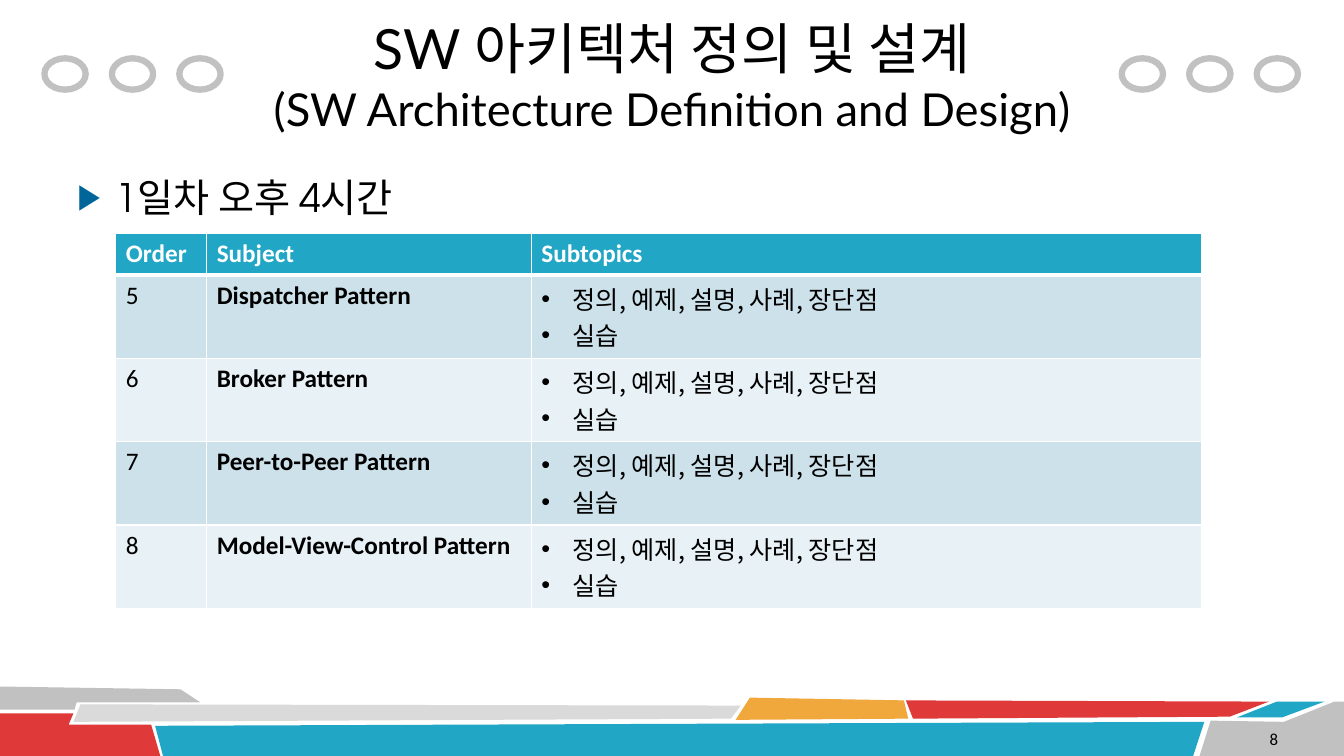
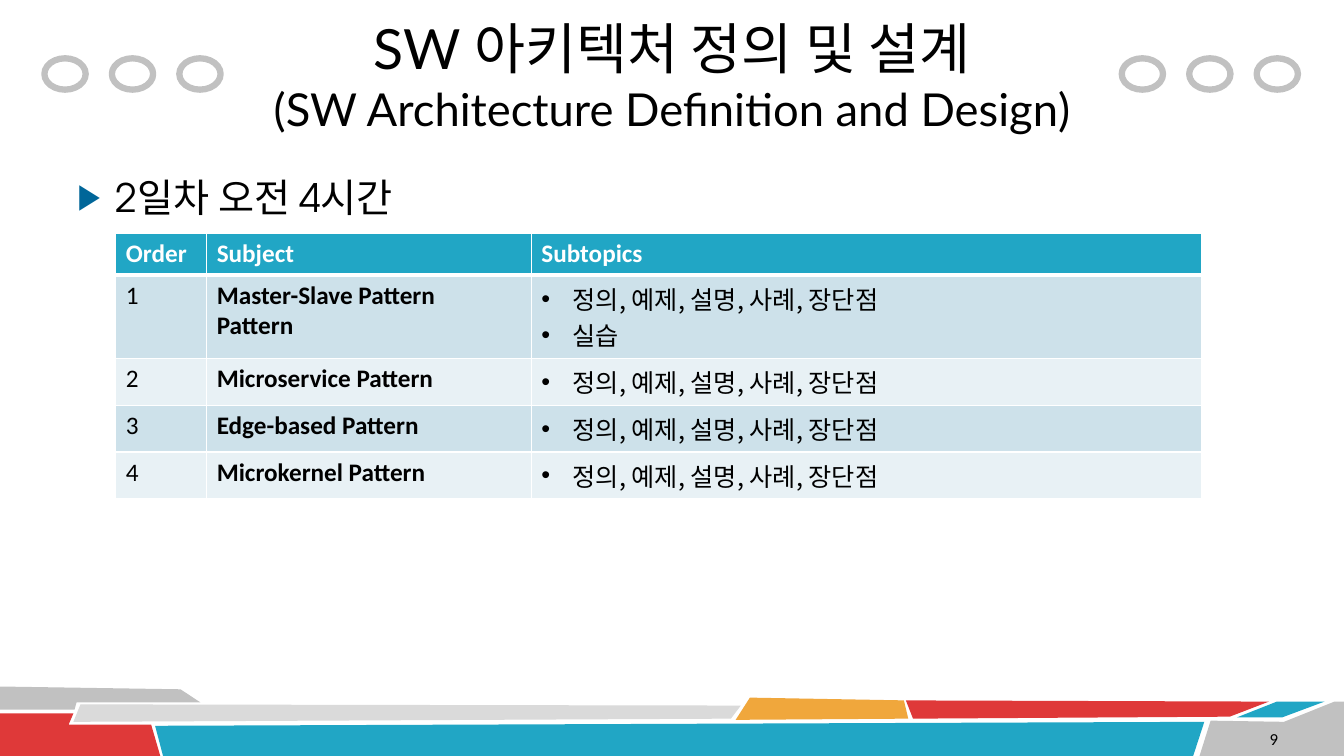
"""Build two course-schedule slides on software architecture patterns."""
from lxml.etree import SubElement
from pptx import Presentation
from pptx.dml.color import RGBColor
from pptx.enum.shapes import MSO_SHAPE as SHAPE
from pptx.enum.text import MSO_ANCHOR as ANCHOR, PP_ALIGN as ALIGN
from pptx.oxml import parse_xml
from pptx.oxml.ns import nsdecls, qn
from pptx.util import Cm, Pt

COLORS = {
    "black": "000000", "white": "FFFFFF", "grey": "C1C1C1", "pale": "DADADA",
    "red": "DF3939", "teal": "21A6C5", "gold": "F0A73C", "marker": "006699",
    "band_dark": "CDE1EA", "band_light": "E8F1F5",
}
KOREAN = "Noto Sans CJK KR"
TITLE = "SW 아키텍처 정의 및 설계"
SUBTITLE = "(SW Architecture Definition and Design)"
HEADER = ("Order", "Subject", "Subtopics")
TOPICS = "정의, 예제, 설명, 사례, 장단점"
PRACTICE = "실습"

SLIDES = [
    {"page": 8, "session": "1일차 오후 4시간", "rows": [
        ("5", "Dispatcher Pattern", [TOPICS, PRACTICE]),
        ("6", "Broker Pattern", [TOPICS, PRACTICE]),
        ("7", "Peer-to-Peer Pattern", [TOPICS, PRACTICE]),
        ("8", "Model-View-Control Pattern", [TOPICS, PRACTICE]),
    ]},
    {"page": 9, "session": "2일차 오전 4시간", "rows": [
        ("1", "Master-Slave Pattern\nPattern", [TOPICS, PRACTICE]),
        ("2", "Microservice Pattern", [TOPICS]),
        ("3", "Edge-based Pattern", [TOPICS]),
        ("4", "Microkernel Pattern", [TOPICS]),
    ]},
]

FOOTER_BANDS = [
    ("grey", [(0, 17.3), (4.55, 17.37), (5.05, 17.7), (1.93, 17.7),
              (1.88, 17.88), (0, 17.88)]),
    ("red", [(0, 17.98), (1.85, 17.98), (1.73, 18.26), (3.81, 18.26),
             (4.04, 19.05), (0, 19.05)]),
    ("pale", [(2.03, 17.75), (18.67, 17.78), (18.42, 18.11), (1.85, 18.19)]),
    ("teal", [(3.91, 18.29), (30.35, 18.19), (30.07, 19.05), (4.11, 19.05)]),
    ("gold", [(18.9, 17.58), (22.78, 17.65), (22.89, 18.11), (18.54, 18.14)]),
    ("red", [(22.83, 17.65), (31.98, 17.68), (30.99, 18.06), (23.01, 18.11)]),
    ("teal", [(32.18, 17.68), (33.38, 17.68), (32.31, 18.08), (31.17, 18.08)]),
    ("grey", [(30.51, 18.16), (32.36, 18.19), (33.63, 17.68), (33.87, 17.68),
              (33.87, 19.05), (30.23, 19.05)]),
]
RING_STARTS = (1.12, 28.27)
RING_STEP = 1.7
COLUMN_WIDTHS = (2.29, 8.18, 16.89)
HEADER_HEIGHT = 1.04
TOPIC_HEIGHTS = {1: 1.18, 2: 2.1}


def rgb(name):
    return RGBColor.from_string(COLORS[name])


def write(p, text, font="Calibri", size=18, color="black", bold=False, align=ALIGN.LEFT):
    p.alignment = align
    for i, line in enumerate(text.split("\n")):
        if i:
            p.add_line_break()
        if not line:
            continue
        r = p.add_run()
        r.text = line
        r.font.size, r.font.bold = Pt(size), bold
        r.font.color.rgb = rgb(color)
        r.font.name = font
        SubElement(r._r.get_or_add_rPr(), qn("a:ea"), typeface=KOREAN)


def add_bullet(p, char, indent, color=None, percent=100):
    pPr = p._p.get_or_add_pPr()
    pPr.set("marL", str(Cm(indent)))
    pPr.set("indent", str(-Cm(indent)))
    if color:
        clr = SubElement(pPr, qn("a:buClr"))
        SubElement(clr, qn("a:srgbClr"), val=COLORS[color])
    SubElement(pPr, qn("a:buSzPct"), val=str(percent * 1000))
    SubElement(pPr, qn("a:buFont"), typeface="Arial")
    SubElement(pPr, qn("a:buChar"), char=char)


def add_text_frame(s, x, y, w, h, anchor=ANCHOR.TOP):
    tf = s.shapes.add_textbox(Cm(x), Cm(y), Cm(w), Cm(h)).text_frame
    tf.word_wrap = True
    tf.vertical_anchor = anchor
    return tf


def add_decoration(s):
    for color, points in FOOTER_BANDS:
        start, *rest = [(Cm(x), Cm(y)) for x, y in points]
        builder = s.shapes.build_freeform(*start)
        builder.add_line_segments(rest, close=True)
        band = builder.convert_to_shape()
        band.shadow.inherit = False
        band.fill.solid()
        band.fill.fore_color.rgb = rgb(color)
        band.line.fill.background()
    for start in RING_STARTS:
        for i in range(3):
            ring = s.shapes.add_shape(SHAPE.OVAL, Cm(start + i * RING_STEP), Cm(1.47),
                                      Cm(1.04), Cm(0.79))
            ring.shadow.inherit = False
            ring.fill.background()
            ring.line.color.rgb = rgb("grey")
            ring.line.width = Pt(4.5)


def style_cell(cell, fill, top=1, bottom=1):
    cell.fill.solid()
    cell.fill.fore_color.rgb = rgb(fill)
    tcPr = cell._tc.get_or_add_tcPr()
    for i, (side, width) in enumerate((("L", 1), ("R", 1), ("T", top), ("B", bottom))):
        tcPr.insert(i, parse_xml(
            f'<a:ln{side} {nsdecls("a")} w="{Pt(width)}"><a:solidFill>'
            f'<a:srgbClr val="{COLORS["white"]}"/></a:solidFill></a:ln{side}>'))


def add_schedule(s, rows):
    heights = [HEADER_HEIGHT] + [TOPIC_HEIGHTS[len(topics)] for _, _, topics in rows]
    frame = s.shapes.add_table(len(heights), len(HEADER), Cm(2.92), Cm(5.89),
                               Cm(sum(COLUMN_WIDTHS)), Cm(sum(heights)))
    table = frame.table
    table.horz_banding = False
    for column, width in zip(table.columns, COLUMN_WIDTHS):
        column.width = Cm(width)
    for row, height in zip(table.rows, heights):
        row.height = Cm(height)
    for c, label in enumerate(HEADER):
        cell = table.cell(0, c)
        style_cell(cell, "teal", bottom=3)
        write(cell.text_frame.paragraphs[0], label, color="white", bold=True)
    for n, (order, subject, topics) in enumerate(rows, 1):
        cells = [table.cell(n, c) for c in range(len(HEADER))]
        for cell in cells:
            style_cell(cell, "band_dark" if n % 2 else "band_light", top=3 if n == 1 else 1)
        write(cells[0].text_frame.paragraphs[0], order)
        write(cells[1].text_frame.paragraphs[0], subject, bold=True)
        tf = cells[2].text_frame
        for i, topic in enumerate(topics):
            p = tf.add_paragraph() if i else tf.paragraphs[0]
            write(p, topic, font=KOREAN)
            add_bullet(p, "•", 0.79)


def add_slide(prs, page, session, rows):
    s = prs.slides.add_slide(prs.slide_layouts[6])
    add_decoration(s)

    p = add_text_frame(s, 5.93, 0.3, 22.01, 3.18, ANCHOR.MIDDLE).paragraphs[0]
    write(p, TITLE + "\n", font="Lato", size=39.6, align=ALIGN.CENTER)
    write(p, SUBTITLE, font="Lato", size=32.4, align=ALIGN.CENTER)

    p = add_text_frame(s, 1.7, 4.24, 30.48, 12.78).paragraphs[0]
    p.space_before, p.space_after = Pt(5.6), Pt(6)
    write(p, session, font="TeX Gyre Adventor", size=28)
    add_bullet(p, "▶", 0.97, color="marker", percent=90)

    p = add_text_frame(s, 30.76, 18.29, 1.7, 0.64, ANCHOR.MIDDLE).paragraphs[0]
    write(p, str(page), size=12, align=ALIGN.RIGHT)
    add_schedule(s, rows)


def main():
    prs = Presentation()
    prs.slide_width, prs.slide_height = Cm(33.87), Cm(19.05)
    for content in SLIDES:
        add_slide(prs, **content)
    prs.save("out.pptx")


if __name__ == "__main__":
    main()
